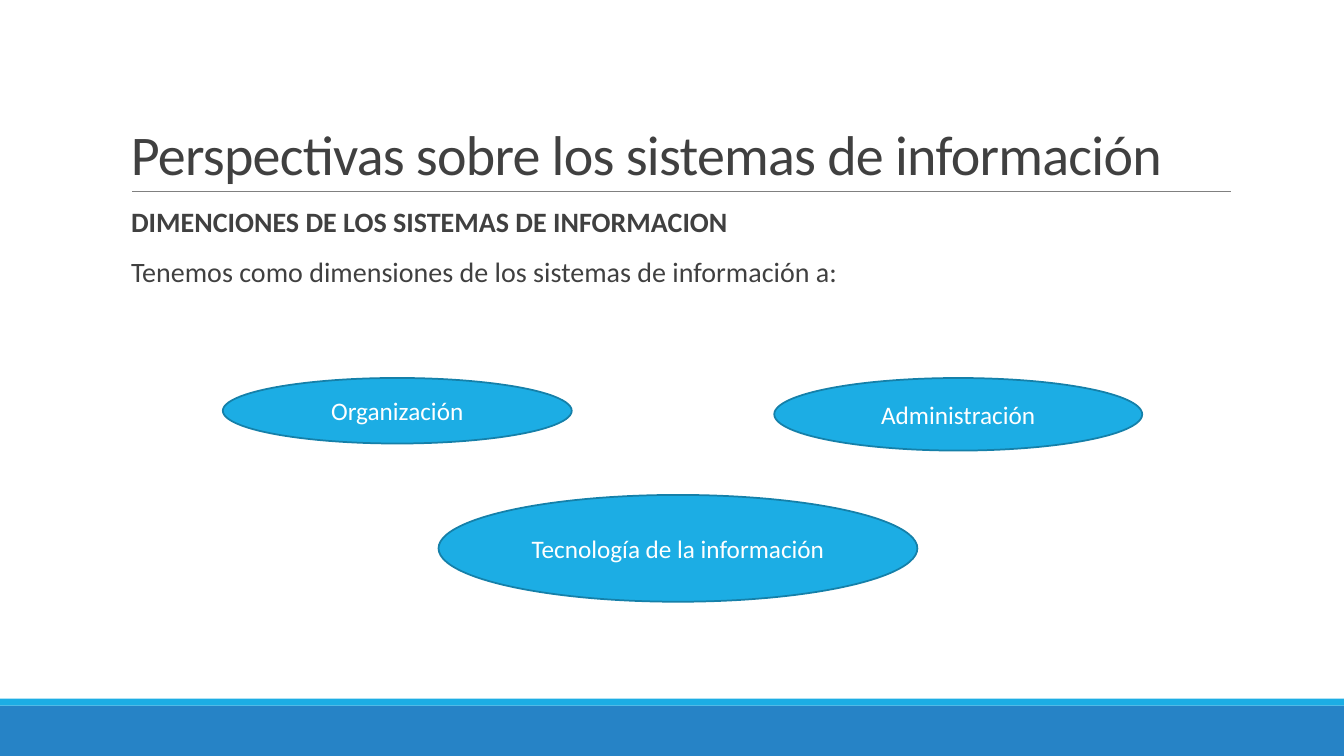
import pptx
import pptx.util
import pptx.dml.color
import pptx.enum.shapes
import pptx.enum.text
import lxml.etree

RGBColor = pptx.dml.color.RGBColor
Pt = pptx.util.Pt
Shape = pptx.enum.shapes.MSO_SHAPE
Align = pptx.enum.text.PP_ALIGN
Anchor = pptx.enum.text.MSO_ANCHOR

BLUE = RGBColor(0x26, 0x83, 0xC6)
CYAN = RGBColor(0x1C, 0xAD, 0xE4)
EDGE = RGBColor(0x15, 0x80, 0xA9)
GRAY = RGBColor(0x80, 0x80, 0x80)
INK = RGBColor(0x40, 0x40, 0x40)
WHITE = RGBColor(0xFF, 0xFF, 0xFF)


class Page:
    font = "Calibri"

    def __init__(self, deck):
        self.wide, self.high = deck.slide_width, deck.slide_height
        self.shapes = deck.slides.add_slide(deck.slide_layouts[6]).shapes

    def place(self, x, y, w, h):
        return [round(part * size / 100) for part, size in
                zip((x, y, w, h), (self.wide, self.high) * 2)]

    def style(self, par, size, color, bold=False):
        for run in par.runs:
            run.font.name = self.font
            run.font.size = Pt(size)
            run.font.color.rgb = color
            run.font.bold = bold

    def solid(self, kind, box, fill):
        shape = self.shapes.add_shape(kind, *self.place(*box))
        shape.shadow.inherit = False
        shape.fill.solid()
        shape.fill.fore_color.rgb = fill
        return shape

    def bar(self, y, h, fill):
        self.solid(Shape.RECTANGLE, (0, y, 100, h), fill).line.fill.background()

    def oval(self, label, *box):
        shape = self.solid(Shape.OVAL, box, CYAN)
        shape.line.color.rgb = EDGE
        shape.line.width = Pt(1.25)
        frame = shape.text_frame
        frame.text = label
        frame.vertical_anchor = Anchor.MIDDLE
        frame.paragraphs[0].alignment = Align.CENTER
        self.style(frame.paragraphs[0], 18, WHITE)

    def rule(self, x, y, end):
        ends = self.place(x, y, end, y)
        line = self.shapes.add_connector(
            pptx.enum.shapes.MSO_CONNECTOR.STRAIGHT, *ends)
        line.line.color.rgb = GRAY
        line.line.width = Pt(0.5)
        props = line._element.spPr
        lxml.etree.SubElement(props, pptx.oxml.ns.qn("a:effectLst"))

    def frame(self, *box):
        frame = self.shapes.add_textbox(*self.place(*box)).text_frame
        frame.word_wrap = True
        return frame

    def title(self, text, *box):
        frame = self.frame(*box)
        frame.text = text
        frame.vertical_anchor = Anchor.BOTTOM
        par = frame.paragraphs[0]
        par.line_spacing = 0.85
        self.style(par, 40, INK)
        par.runs[0].font._element.set("spc", "-50")

    def body(self, lines, *box):
        frame = self.frame(*box)
        frame.margin_left = frame.margin_right = 0
        frame.text = "\n".join(text for text, bold in lines)
        for par, (text, bold) in zip(frame.paragraphs, lines):
            par.line_spacing = 0.9
            par.space_after = Pt(14)
            self.style(par, 20, INK, bold)


def main():
    deck = pptx.Presentation()
    deck.slide_width = pptx.util.Inches(13.33)
    deck.slide_height = pptx.util.Inches(7.5)
    page = Page(deck)
    page.bar(93.33, 6.67, BLUE)
    page.bar(92.4, 0.93, CYAN)
    page.rule(9.83, 25.33, 91.6)
    page.title("Perspectivas sobre los sistemas de información",
               9, 4.13, 82.5, 21.2)
    page.body([
        ("DIMENCIONES DE LOS SISTEMAS DE INFORMACION", True),
        ("Tenemos como dimensiones de los sistemas de información a:", False),
    ], 9.75, 26.93, 81.75, 58.67)
    page.oval("Organización", 16.58, 50, 25.96, 8.67)
    page.oval("Administración", 57.61, 50, 27.38, 9.6)
    page.oval("Tecnología de la información", 32.63, 65.47, 35.63, 14.13)
    deck.save("out.pptx")


if __name__ == "__main__":
    main()
